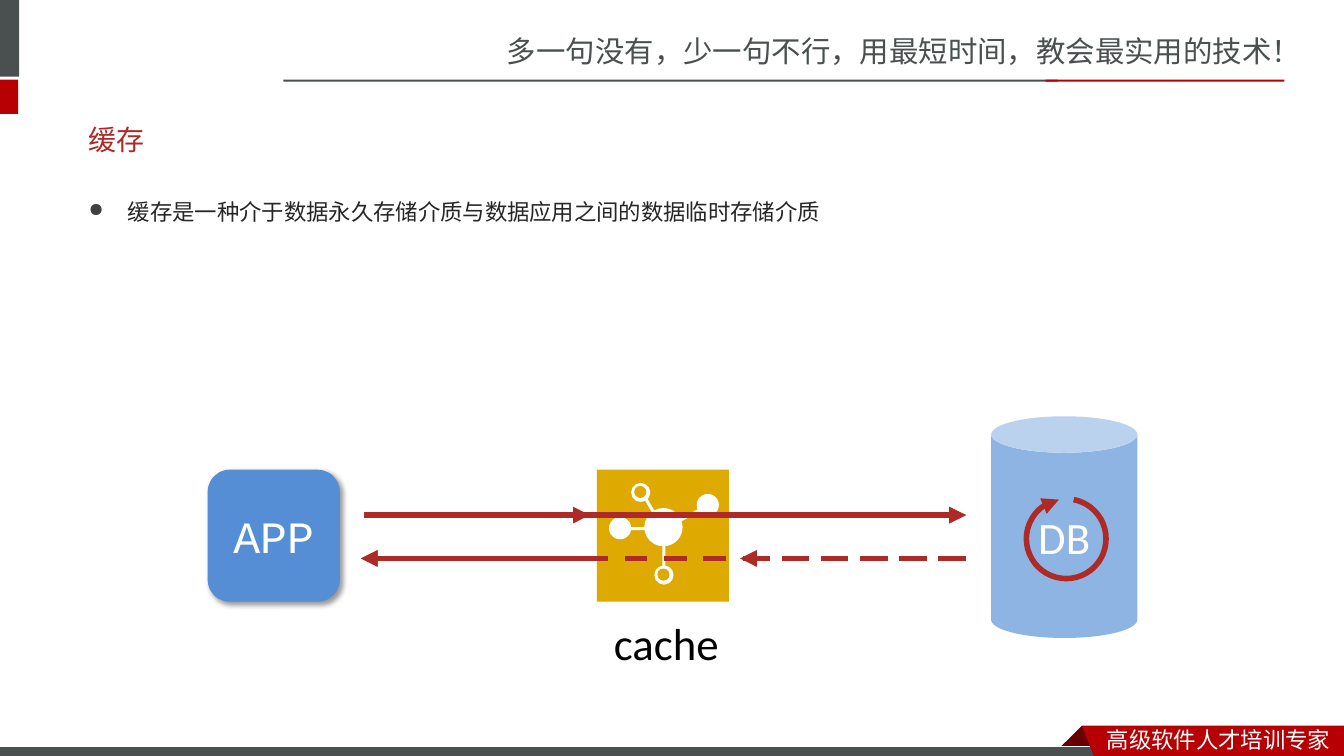
from lxml.etree import SubElement
from pptx import Presentation
from pptx.dml.color import RGBColor
from pptx.enum.dml import MSO_LINE_DASH_STYLE as Dash
from pptx.enum.shapes import MSO_CONNECTOR as Connector, MSO_SHAPE as Shape
from pptx.enum.text import MSO_ANCHOR as Anchor, PP_ALIGN as Align
from pptx.oxml.ns import qn
from pptx.util import Inches, Pt

GREY, CRIMSON, DARK_RED = "49504F", "B60004", "680000"
RED, WHITE, GOLD = "AD2A26", "FFFFFF", "DEA900"
SANS = "Noto Sans CJK SC"


def color(value):
    """Turn a hex string into a colour."""
    return RGBColor.from_string(value)


def add_span(para, text, size, font, fill):
    """Add one formatted run to a paragraph."""
    span = para.add_run()
    span.text = text
    span.font.size = Pt(size)
    span.font.name = font
    span.font.color.rgb = color(fill)
    SubElement(span.font._element, qn("a:ea"), typeface=font)


def add_text(page, area, text, size, font, fill, anchor=Anchor.TOP, wrap=True):
    """Add a one-paragraph text box and return its paragraph."""
    box = page.shapes.add_textbox(*map(Inches, area))
    box.text_frame.word_wrap = wrap
    box.text_frame.vertical_anchor = anchor
    para = box.text_frame.paragraphs[0]
    add_span(para, text, size, font, fill)
    return para


def add_bullet(para, indent):
    """Give a paragraph a round bullet with a hanging indent."""
    props = para._p.get_or_add_pPr()
    props.set("marL", str(Inches(indent)))
    props.set("indent", str(-Inches(indent)))
    tint = SubElement(props, qn("a:buClr"))
    SubElement(tint, qn("a:srgbClr"), val="404040")
    SubElement(props, qn("a:buSzPct"), val="85000")
    SubElement(props, qn("a:buChar"), char="●")
    para.line_spacing = 1.5


def paint(shape, fill):
    """Give a shape a flat fill without line or shadow."""
    shape.shadow.inherit = False
    shape.fill.solid()
    shape.fill.fore_color.rgb = color(fill)
    shape.line.fill.background()


def add_block(shapes, kind, area, fill, turn=0):
    """Add a filled preset shape."""
    block = shapes.add_shape(kind, *map(Inches, area))
    paint(block, fill)
    block.rotation = turn
    return block


def add_outline(page, points, fill):
    """Add a filled polygon."""
    corners = [(Inches(x), Inches(y)) for x, y in points]
    builder = page.shapes.build_freeform(*corners[0])
    builder.add_line_segments(corners[1:], close=True)
    paint(builder.convert_to_shape(), fill)


def add_label(block, text, font):
    """Centre a white label in a shape."""
    frame = block.text_frame
    frame.vertical_anchor = Anchor.MIDDLE
    frame.paragraphs[0].alignment = Align.CENTER
    add_span(frame.paragraphs[0], text, 32, font, WHITE)


def add_drop_shadow(block):
    """Cast a soft shadow to the lower right."""
    effects = block._element.spPr.find(qn("a:effectLst"))
    shadow = SubElement(effects, qn("a:outerShdw"), blurRad=str(Pt(4)),
                        dist=str(Pt(3)), dir="2700000", rotWithShape="0")
    tint = SubElement(shadow, qn("a:srgbClr"), val="000000")
    SubElement(tint, qn("a:alpha"), val="40000")


def style_arrow(item, dash=None):
    """Draw a line in thick red with an arrowhead at its end."""
    item.line.color.rgb = color(RED)
    item.line.width = Pt(4)
    if dash:
        item.line.dash_style = dash
    SubElement(item.line._get_or_add_ln(), qn("a:tailEnd"), type="triangle")


def add_arrow(page, start, end, y, dash=None):
    """Add a horizontal arrow."""
    arrow = page.shapes.add_connector(
        Connector.STRAIGHT, Inches(start), Inches(y), Inches(end), Inches(y))
    style_arrow(arrow, dash)
    SubElement(arrow._element.spPr, qn("a:effectLst"))


def add_loop(page, area):
    """Add the circular arrow on the database."""
    loop = page.shapes.add_shape(Shape.ARC, *map(Inches, area))
    loop.shadow.inherit = False
    loop.adjustments[0] = 168.481
    loop.adjustments[1] = 155.676
    loop.fill.background()
    style_arrow(loop)


def add_frame(page):
    """Add the header and footer decoration."""
    add_text(page, (4.93, 0.28, 8.41, 0.47),
             "多一句没有，少一句不行，用最短时间，教会最实用的技术！", 21, SANS, GREY)
    for area, fill in (((-0.06, 0, 0.25, 0.76), GREY),
                       ((-0.06, 0.79, 0.24, 0.34), CRIMSON),
                       ((2.81, 0.79, 7.68, 0.02), GREY),
                       ((10.37, 0.79, 2.37, 0.02), CRIMSON)):
        add_block(page.shapes, Shape.RECTANGLE, area, fill)
    add_outline(page, [(10.73, 7.2), (10.95, 7.42), (10.94, 7.43),
                       (10.52, 7.43), (10.51, 7.42)], DARK_RED)
    strip = add_block(page.shapes, Shape.RECTANGLE, (-0.01, 7.41, 11, 0.12), GREY)
    strip.line.color.rgb = color(WHITE)
    strip.line.width = Pt(0.75)
    add_outline(page, [(10.73, 7.2), (13.33, 7.2), (13.33, 7.54),
                       (10.86, 7.53)], CRIMSON)
    add_text(page, (10.88, 7.15, 2.45, 0.37), "高级软件人才培训专家", 16, SANS, WHITE)


def add_cache_icon(page):
    """Add the grouped hub-and-nodes icon."""
    icon = page.shapes.add_group_shape().shapes
    add_block(icon, Shape.RECTANGLE, (5.92, 4.66, 1.31, 1.31), GOLD)
    for x, y, size in ((6.39, 5.04, 0.38), (6.91, 4.9, 0.22), (6.04, 5.13, 0.22)):
        add_block(icon, Shape.OVAL, (x, y, size, size), WHITE)
    for x, y in ((6.26, 4.79), (6.49, 5.61)):
        add_block(icon, Shape.OVAL, (x, y, 0.19, 0.19), WHITE)
        add_block(icon, Shape.OVAL, (x + 0.03, y + 0.03, 0.12, 0.12), GOLD)
    for x, y, length, turn in ((6.57, 5.41, 0.21, 0), (6.31, 5.14, 0.21, 90),
                               (6.81, 4.89, 0.46, 62.2), (6.5, 4.91, 0.46, 150)):
        add_block(icon, Shape.RECTANGLE, (x, y, 0.03, length), WHITE, turn)


def main():
    """Build the slide and save it."""
    deck = Presentation()
    deck.slide_width, deck.slide_height = Inches(13.33), Inches(7.5)
    page = deck.slides.add_slide(deck.slide_layouts[6])
    add_frame(page)
    add_text(page, (0.78, 1.1, 11.72, 0.57), "缓存", 20, "Roboto", RED, Anchor.MIDDLE)
    para = add_text(page, (0.78, 1.78, 11.72, 4.8),
                    "缓存是一种介于数据永久存储介质与数据应用之间的数据临时存储介质",
                    16, "Noto Sans CJK JP", "262626")
    add_bullet(para, 0.39)

    database = add_block(page.shapes, Shape.CAN, (9.83, 4.13, 1.45, 2.2), "8EB4E3")
    add_label(database, "DB", "Calibri")
    app = add_block(page.shapes, Shape.ROUNDED_RECTANGLE,
                    (2.06, 4.66, 1.31, 1.31), "558ED5")
    add_drop_shadow(app)
    add_label(app, "APP", "Courier New")
    add_cache_icon(page)

    request, reply = 5.11, 5.54
    add_arrow(page, 3.63, 9.58, request)
    add_arrow(page, 9.53, 3.58, reply, Dash.DASH)
    add_loop(page, (10.18, 4.95, 0.79, 0.79))
    for start, end in ((7.34, 9.58), (3.61, 5.85)):
        add_arrow(page, start, end, request)
    for start, end in ((9.58, 7.34), (5.83, 3.58)):
        add_arrow(page, start, end, reply, Dash.DASH)
    add_text(page, (5.99, 6.06, 1.25, 0.64), "cache", 32, "Calibri", "000000", wrap=False)
    deck.save("out.pptx")


if __name__ == "__main__":
    main()
